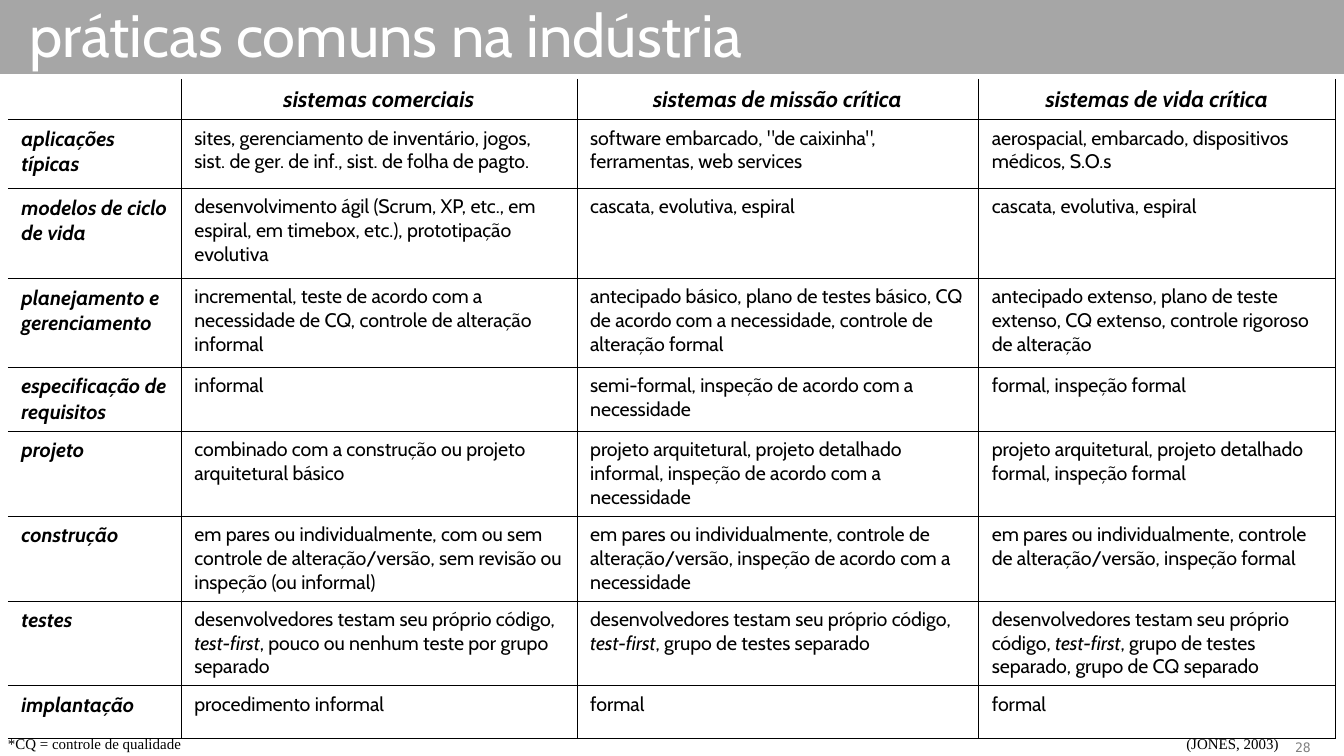
"""Builds the slide comparing common industry practices by kind of system."""
from dataclasses import dataclass

from lxml.etree import SubElement
from pptx import Presentation
from pptx.dml.color import RGBColor
from pptx.enum.shapes import MSO_SHAPE as Preset
from pptx.enum.text import MSO_ANCHOR as Anchor, MSO_AUTO_SIZE as AutoSize, PP_ALIGN as Align
from pptx.oxml.ns import qn
from pptx.util import Cm, Pt


@dataclass(frozen=True)
class TextStyle:
    font: str
    size: float
    color: str = "000000"
    bold: bool = False
    italic: bool = False
    align: Align = Align.LEFT


@dataclass(frozen=True)
class Theme:
    band: str = "A6A6A6"
    border: str = "000000"
    border_width: float = 0.25
    title: TextStyle = TextStyle("Cabin", 32, "FFFFFF")
    heading: TextStyle = TextStyle("Cabin", 12, bold=True, italic=True, align=Align.CENTER)
    topic: TextStyle = TextStyle("Cabin", 11, bold=True, italic=True)
    body: TextStyle = TextStyle("Cabin", 10.5)
    note: TextStyle = TextStyle("Times New Roman", 8)
    number: TextStyle = TextStyle("DejaVu Sans Mono", 7, "808080", align=Align.RIGHT)


@dataclass(frozen=True)
class Box:
    left: float
    top: float
    width: float
    height: float

    def lengths(self) -> tuple:
        return Cm(self.left), Cm(self.top), Cm(self.width), Cm(self.height)


@dataclass(frozen=True)
class Label:
    text: str
    box: Box
    style: TextStyle
    wrap: bool = False
    anchor: Anchor = Anchor.TOP


@dataclass(frozen=True)
class Practice:
    height: float
    topic: str
    commercial: str
    mission: str
    life: str

    def texts(self) -> tuple:
        return self.topic, self.commercial, self.mission, self.life


THEME = Theme()
COLUMN_WIDTHS = (3.27, 7.48, 7.59, 6.75)
TABLE_LEFT, TABLE_TOP = 0.15, 1.49
LABELS = (
    Label("28", Box(23.29, 13.99, 1.73, 0.28), THEME.number, True, Anchor.MIDDLE),
    Label("*CQ = controle de qualidade", Box(-0.1, 13.77, 3.81, 0.61), THEME.note),
    Label("(JONES, 2003)", Box(22.17, 13.77, 2.26, 0.61), THEME.note),
)
PRACTICES = (
    Practice(0.76, "", "sistemas comerciais", "sistemas de missão crítica",
             "sistemas de vida crítica"),
    Practice(1.3, "aplicações típicas",
             "sites, gerenciamento de inventário, jogos, sist. de ger. de inf., sist. de folha de pagto.",
             'software embarcado, "de caixinha", ferramentas, web services',
             "aerospacial, embarcado, dispositivos médicos, S.O.s"),
    Practice(1.7, "modelos de ciclo de vida",
             "desenvolvimento ágil (Scrum, XP, etc., em espiral, em timebox, etc.), prototipação evolutiva",
             "cascata, evolutiva, espiral", "cascata, evolutiva, espiral"),
    Practice(1.68, "planejamento e gerenciamento",
             "incremental, teste de acordo com a necessidade de CQ, controle de alteração informal",
             "antecipado básico, plano de testes básico, CQ de acordo com a necessidade, "
             "controle de alteração formal",
             "antecipado extenso, plano de teste extenso, CQ extenso, controle rigoroso de alteração"),
    Practice(1.21, "especificação de requisitos", "informal",
             "semi-formal, inspeção de acordo com a necessidade", "formal, inspeção formal"),
    Practice(1.6, "projeto", "combinado com a construção ou projeto arquitetural básico",
             "projeto arquitetural, projeto detalhado informal, inspeção de acordo com a necessidade",
             "projeto arquitetural, projeto detalhado formal, inspeção formal"),
    Practice(1.6, "construção",
             "em pares ou individualmente, com ou sem controle de alteração/versão, "
             "sem revisão ou inspeção (ou informal)",
             "em pares ou individualmente, controle de alteração/versão, "
             "inspeção de acordo com a necessidade",
             "em pares ou individualmente, controle de alteração/versão, inspeção formal"),
    Practice(1.6, "testes",
             "desenvolvedores testam seu próprio código, *test-first*, "
             "pouco ou nenhum teste por grupo separado",
             "desenvolvedores testam seu próprio código, *test-first*, grupo de testes separado",
             "desenvolvedores testam seu próprio código, *test-first*, "
             "grupo de testes separado, grupo de CQ separado"),
    Practice(1, "implantação", "procedimento informal", "formal", "formal"),
)


def format_paragraph(paragraph, style: TextStyle) -> None:
    """Apply a text style to a whole paragraph."""
    paragraph.alignment = style.align
    font = paragraph.font
    font.name, font.size = style.font, Pt(style.size)
    font.bold, font.italic = style.bold, style.italic
    font.color.rgb = RGBColor.from_string(style.color)


def draw_title(slide, text: str) -> None:
    """Fill the title placeholder and lay the grey band behind it."""
    title = slide.shapes.title
    title.left, title.top, title.width, title.height = Box(0.3, 0.08, 23.01, 1.12).lengths()
    frame = title.text_frame
    frame.text = text
    frame.auto_size, frame.vertical_anchor = AutoSize.NONE, Anchor.MIDDLE
    format_paragraph(frame.paragraphs[0], THEME.title)
    band = slide.shapes.add_shape(Preset.RECTANGLE, *Box(0, 0, 25.4, 1.4).lengths())
    band.shadow.inherit = False
    band.fill.solid()
    band.fill.fore_color.rgb = RGBColor.from_string(THEME.band)
    band.line.fill.background()
    title.element.addprevious(band.element)


def draw_label(slide, label: Label) -> None:
    """Draw a small line of text."""
    frame = slide.shapes.add_textbox(*label.box.lengths()).text_frame
    frame.text = label.text
    frame.word_wrap, frame.vertical_anchor = label.wrap, label.anchor
    format_paragraph(frame.paragraphs[0], label.style)


def draw_borders(cell, sides: str) -> None:
    """Rule the given sides of a cell and clear the others."""
    properties = cell._tc.get_or_add_tcPr()
    for side in "LRTB":
        line = SubElement(properties, qn(f"a:ln{side}"), w=str(Pt(THEME.border_width)))
        if side in sides:
            fill = SubElement(line, qn("a:solidFill"))
            SubElement(fill, qn("a:srgbClr"), val=THEME.border)
        else:
            SubElement(line, qn("a:noFill"))


def write_cell(cell, text: str, style: TextStyle) -> None:
    """Write a cell, with the parts between asterisks in italics; keep an empty one low."""
    paragraph = cell.text_frame.paragraphs[0]
    format_paragraph(paragraph, style)
    if not text:
        cell.margin_top = cell.margin_bottom = 0
        SubElement(paragraph._p, qn("a:endParaRPr"), sz=str(Pt(style.size).centipoints))
        return
    for index, part in enumerate(text.split("*")):
        run = paragraph.add_run()
        run.text = part
        if index % 2:
            run.font.italic = True


def draw_table(slide) -> None:
    """Draw the table of practices, open at its top and left edges."""
    box = Box(TABLE_LEFT, TABLE_TOP, sum(COLUMN_WIDTHS), sum(row.height for row in PRACTICES))
    table = slide.shapes.add_table(len(PRACTICES), len(COLUMN_WIDTHS), *box.lengths()).table
    table.first_row = table.horz_banding = False
    for column, width in zip(table.columns, COLUMN_WIDTHS):
        column.width = Cm(width)
    for row, practice in enumerate(PRACTICES):
        table.rows[row].height = Cm(practice.height)
        for column, text in enumerate(practice.texts()):
            cell = table.cell(row, column)
            style = THEME.heading if row == 0 else THEME.body if column else THEME.topic
            write_cell(cell, text, style)
            draw_borders(cell, "RB" + ("T" if row else "") + ("L" if column else ""))
            cell.fill.background()


def main() -> None:
    """Build and save the slide."""
    presentation = Presentation()
    presentation.slide_width, presentation.slide_height = Cm(25.4), Cm(14.29)
    slide = presentation.slides.add_slide(presentation.slide_layouts[5])
    draw_title(slide, "práticas comuns na indústria")
    draw_table(slide)
    for label in LABELS:
        draw_label(slide, label)
    presentation.save("out.pptx")


if __name__ == "__main__":
    main()
